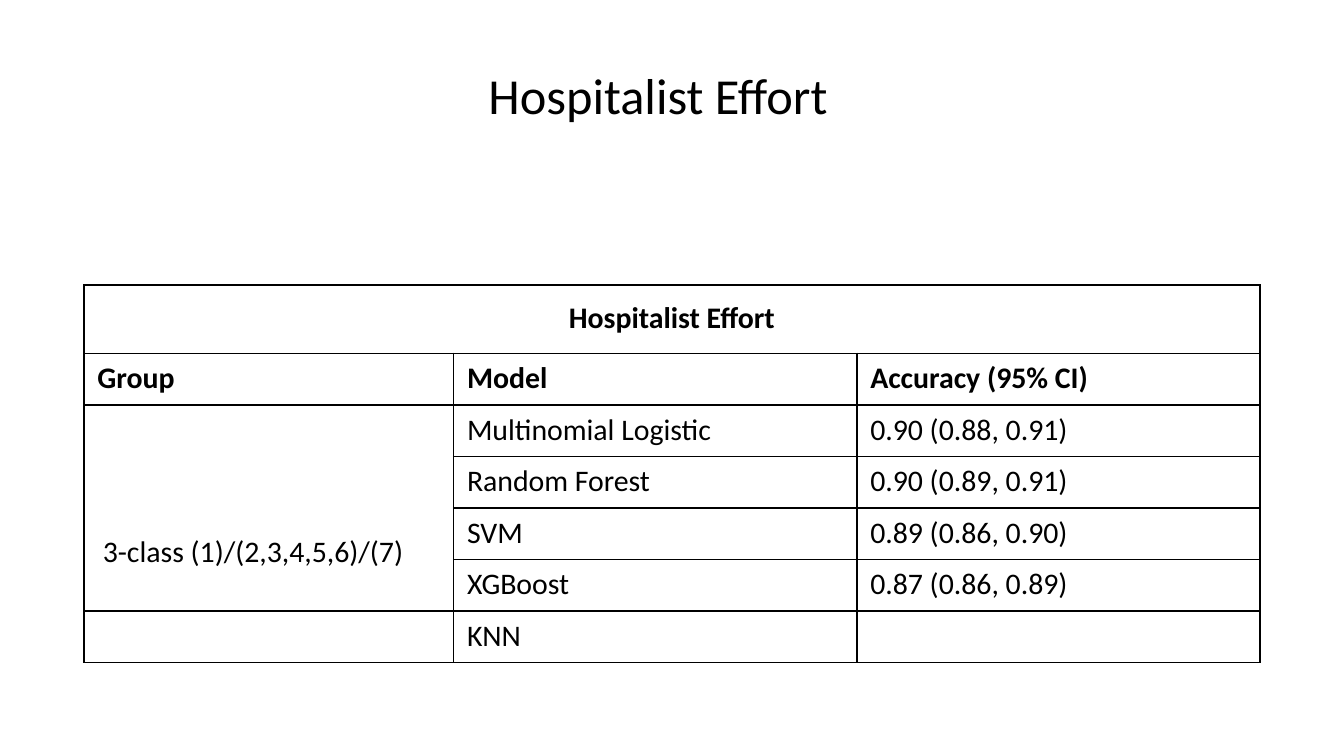
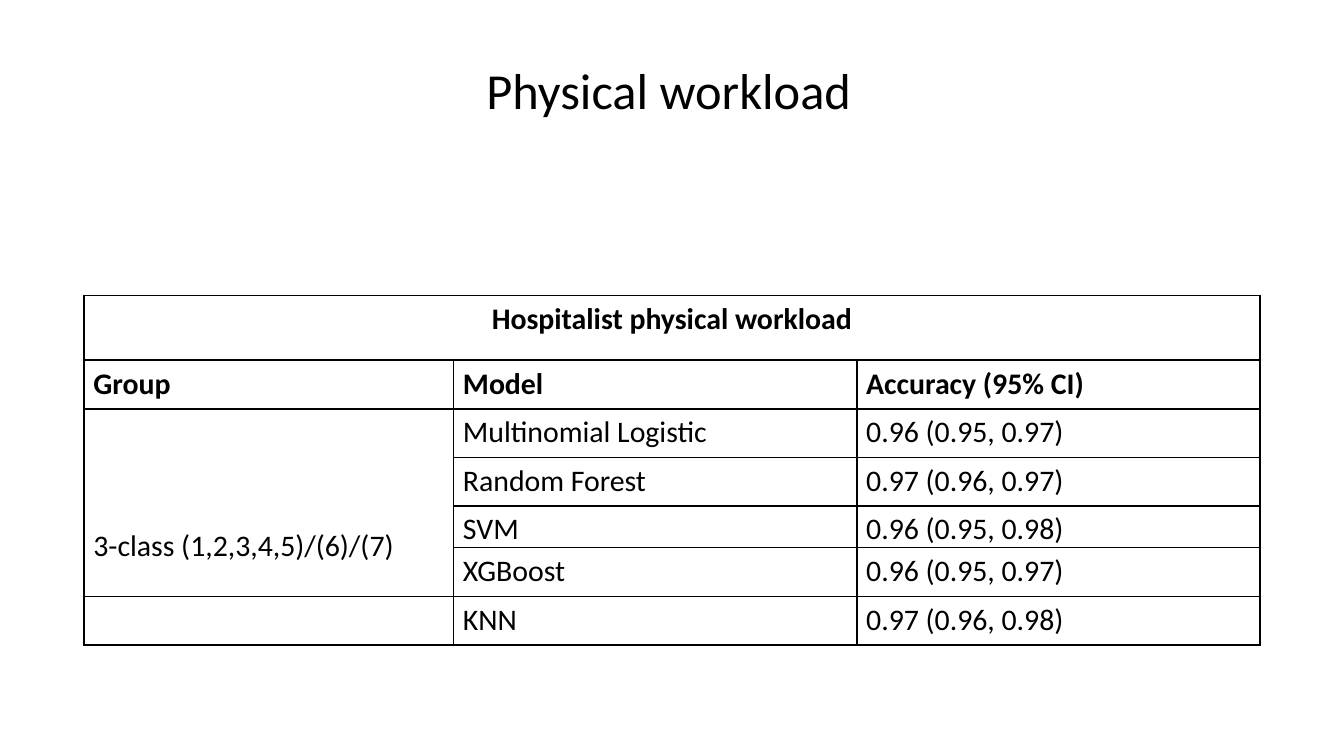
import dataclasses

import lxml.etree
import pptx
import pptx.dml.color
import pptx.enum.shapes
import pptx.enum.text
import pptx.oxml.ns
import pptx.util

Inches = pptx.util.Inches
Pt = pptx.util.Pt
ALIGN = pptx.enum.text.PP_ALIGN
ANCHOR = pptx.enum.text.MSO_ANCHOR


@dataclasses.dataclass(frozen=True)
class Theme:
    font: str = "Calibri"
    ink: str = "000000"
    paper: str = "FFFFFF"
    title_size: float = 27
    table_size: float = 16
    space_after: float = 8
    line_spacing: float = 1.15
    border_width: float = 1


THEME = Theme()
PAGE_WIDTH = 10
PAGE_HEIGHT = PAGE_WIDTH * 9 / 16
HEADINGS = ("Group", "Model", "Accuracy (95% CI)")
MODELS = ("Multinomial Logistic", "Random Forest", "SVM", "XGBoost", "KNN")
COLUMN_WIDTHS = (2.75, 3, 3)
TABLE_WIDTH = sum(COLUMN_WIDTHS)
TABLE_LEFT = (PAGE_WIDTH - TABLE_WIDTH) / 2
GROUP_ROWS = (2, 5)  # first and last row of the merged group cell

# Boxes are left, top, width, height; insets are left, top, right, bottom
PAGES = [
    {
        "title": "Hospitalist Effort",
        "title_box": (2.02, 0.16, 5.75, 1.01),
        "title_format": {"alignment": ALIGN.CENTER, "line_spacing": 1.15},
        "table_box": (TABLE_LEFT, 2.12, TABLE_WIDTH, 2.81),
        "caption": "Hospitalist Effort",
        "group": "3-class (1)/(2,3,4,5,6)/(7)",
        "accuracy": ("0.90 (0.88, 0.91)", "0.90 (0.89, 0.91)",
                     "0.89 (0.86, 0.90)", "0.87 (0.86, 0.89)", ""),
        "fixed_rows": {0: 0.51},
        "caption_insets": (0.14, 0.07, 0.14, 0.07),
        "body_insets": (0.1, 0.01, 0.1, 0),
        "group_insets": (0.14, 0.92, 0.14, 0.07),
    },
    {
        "title": "Physical workload",
        "title_box": (3.52, 0.19, 5.75, 1.01),
        "title_format": {"alignment": ALIGN.LEFT, "line_spacing": 0.9},
        "table_box": (TABLE_LEFT, 2.2, TABLE_WIDTH, 2.6),
        "caption": "Hospitalist physical workload",
        "group": "3-class (1,2,3,4,5)/(6)/(7)",
        "accuracy": ("0.96 (0.95, 0.97)", "0.97 (0.96, 0.97)",
                     "0.96 (0.95, 0.98)", "0.96 (0.95, 0.97)",
                     "0.97 (0.96, 0.98)"),
        "fixed_rows": {0: 0.48, 4: 0.31},
        "caption_insets": (0.07, 0, 0.07, 0),
        "body_insets": (0.07, 0, 0.07, 0),
        "group_insets": (0.07, 0.85, 0.07, 0),
    },
]


def set_all(target, formats):
    for name, value in formats.items():
        setattr(target, name, value)


def write_text(frame, text, size, formats, bold=False):
    para = frame.paragraphs[0]
    set_all(para, {"line_spacing": THEME.line_spacing,
                   "space_after": Pt(THEME.space_after), **formats})
    span = para.add_run()
    span.text = text
    set_all(span.font, {"name": THEME.font, "size": Pt(size), "bold": bold})
    span.font.color.rgb = pptx.dml.color.RGBColor.from_string(THEME.ink)


def add_title(page, box, text, formats):
    # White band behind the title
    band = page.shapes.add_shape(pptx.enum.shapes.MSO_SHAPE.RECTANGLE,
                                 0, 0, Inches(PAGE_WIDTH), Inches(1.39))
    band.shadow.inherit = False
    band.fill.solid()
    band.fill.fore_color.rgb = pptx.dml.color.RGBColor.from_string(THEME.paper)
    band.line.fill.background()
    # Title text
    frame = page.shapes.add_textbox(*map(Inches, box)).text_frame
    set_all(frame, {"word_wrap": True, "vertical_anchor": ANCHOR.MIDDLE})
    write_text(frame, text, THEME.title_size, formats)


def style_cell(cell, insets):
    sides = ("margin_left", "margin_top", "margin_right", "margin_bottom")
    set_all(cell, dict(zip(sides, map(Inches, insets))))
    cell.vertical_anchor = ANCHOR.TOP
    # Borders come before the fill in the cell properties
    qn = pptx.oxml.ns.qn
    properties = cell._tc.get_or_add_tcPr()
    for edge in ("a:lnL", "a:lnR", "a:lnT", "a:lnB"):
        line = lxml.etree.SubElement(properties, qn(edge),
                                     w=str(Pt(THEME.border_width)))
        fill = lxml.etree.SubElement(line, qn("a:solidFill"))
        lxml.etree.SubElement(fill, qn("a:srgbClr"), val=THEME.ink)
    cell.fill.background()


def add_results_table(page, content):
    first, last = GROUP_ROWS
    rows = [(content["caption"], "", ""), HEADINGS]
    rows += [("", *pair) for pair in zip(MODELS, content["accuracy"])]
    rows[first] = (content["group"], *rows[first][1:])

    box = content["table_box"]
    table = page.shapes.add_table(len(rows), len(HEADINGS),
                                  *map(Inches, box)).table
    set_all(table, {"first_row": False, "horz_banding": False})

    # Column widths, and rows that share the height left by the fixed ones
    for column, width in zip(table.columns, COLUMN_WIDTHS):
        column.width = Inches(width)
    fixed = content["fixed_rows"]
    shared = (box[3] - sum(fixed.values())) / (len(rows) - len(fixed))
    for index, row in enumerate(table.rows):
        row.height = Inches(fixed.get(index, shared))

    # Merged caption and group cells
    table.cell(0, 0).merge(table.cell(0, len(HEADINGS) - 1))
    table.cell(first, 0).merge(table.cell(last, 0))

    # Cell text and borders
    for r, values in enumerate(rows):
        for c, text in enumerate(values):
            cell = table.cell(r, c)
            kind = "body_insets"
            if r == 0:
                kind = "caption_insets"
            elif (r, c) == (first, 0):
                kind = "group_insets"
            style_cell(cell, content[kind])
            if text:
                align = ALIGN.CENTER if r == 0 else ALIGN.LEFT
                write_text(cell.text_frame, text, THEME.table_size,
                           {"alignment": align}, bold=r < 2)


def main():
    deck = pptx.Presentation()
    set_all(deck, {"slide_width": Inches(PAGE_WIDTH),
                   "slide_height": Inches(PAGE_HEIGHT)})
    for content in PAGES:
        page = deck.slides.add_slide(deck.slide_layouts[6])
        add_title(page, content["title_box"], content["title"],
                  content["title_format"])
        add_results_table(page, content)
    deck.save("out.pptx")


if __name__ == "__main__":
    main()
